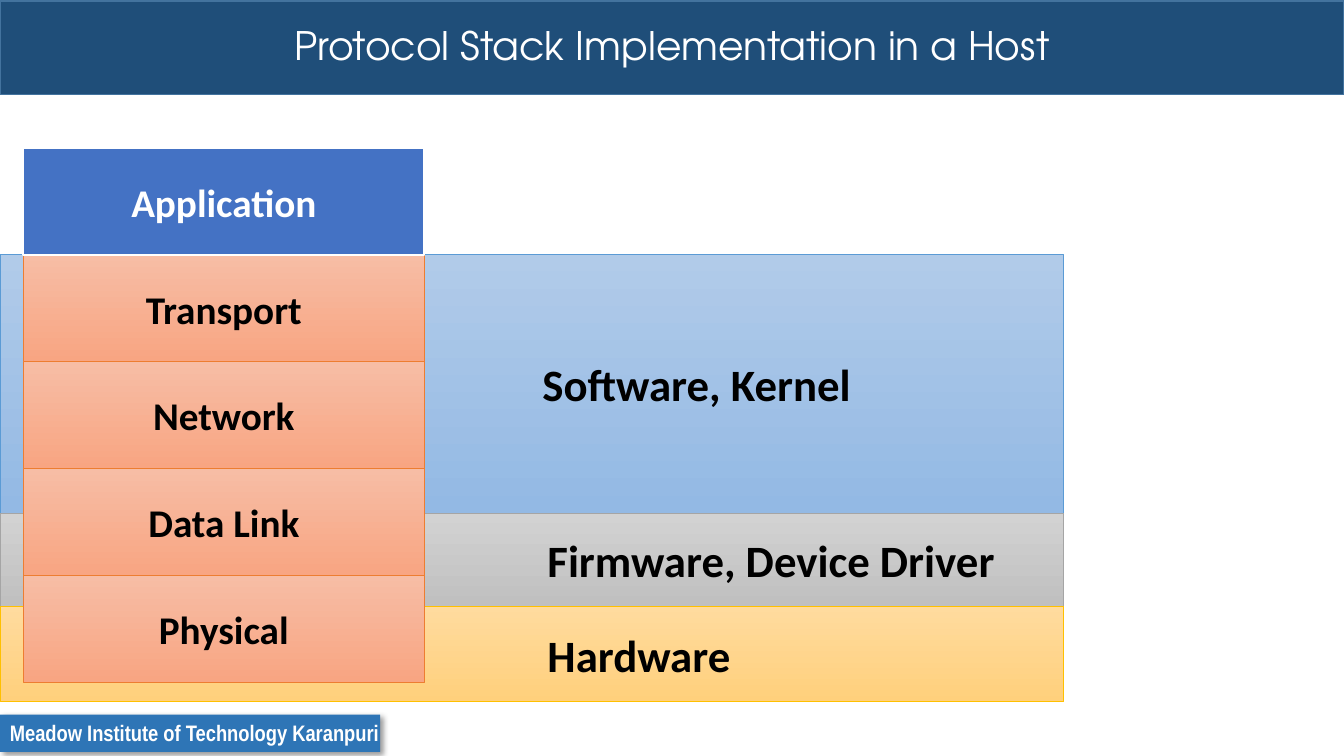
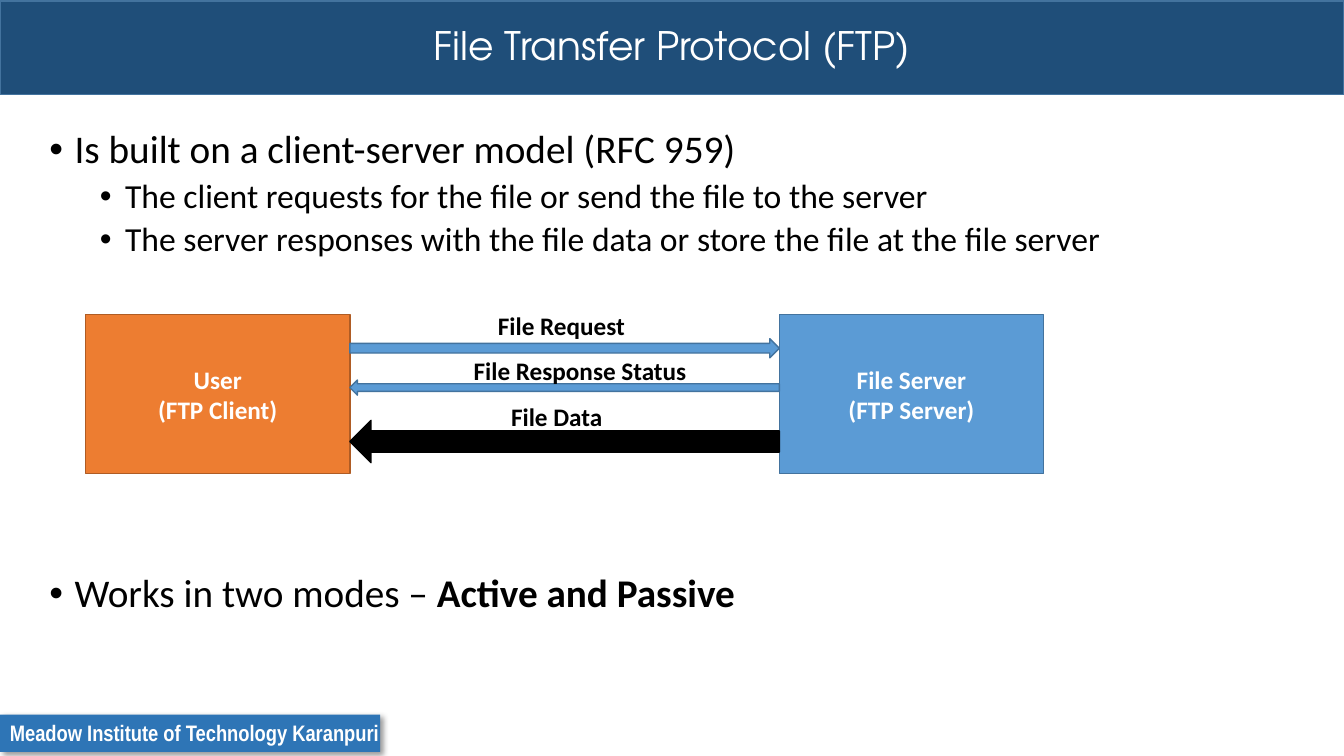
from lxml import etree
from pptx import Presentation
from pptx import util as u
from pptx.dml.color import RGBColor
from pptx.enum import shapes, text
from pptx.oxml.ns import qn

PX = 9144  # EMU in one px, 100 px to the inch
SLIDE_WIDTH, SLIDE_HEIGHT = 1333, 750
TITLE_BOX = (0, 1, SLIDE_WIDTH, 93)

WHITE = RGBColor(0xFF, 0xFF, 0xFF)
BLACK = RGBColor(0, 0, 0)
NAVY = RGBColor(0x1F, 0x4E, 0x79)
FOOTER_BLUE = RGBColor(0x2E, 0x75, 0xB6)
ROYAL = RGBColor(0x44, 0x72, 0xC4)
BLUE = RGBColor(0x5B, 0x9B, 0xD5)
BLUE_EDGE = RGBColor(0x43, 0x73, 0x9E)
ORANGE = RGBColor(0xED, 0x7D, 0x31)
ORANGE_EDGE = RGBColor(0xAF, 0x5C, 0x24)
GREY = RGBColor(0xA5, 0xA5, 0xA5)
GOLD = RGBColor(0xFF, 0xC0, 0x00)
BLUE_FADE = (RGBColor(0xB1, 0xCB, 0xE9), RGBColor(0x93, 0xB9, 0xE4))
GREY_FADE = (RGBColor(0xD2, 0xD2, 0xD2), RGBColor(0xC0, 0xC0, 0xC0))
GOLD_FADE = (RGBColor(0xFF, 0xDB, 0x9E), RGBColor(0xFF, 0xD0, 0x7C))
ORANGE_FADE = (RGBColor(0xF7, 0xBD, 0xA5), RGBColor(0xF8, 0xA5, 0x82))

BODY_FONT = "Calibri"
TITLE_FONT = "TeX Gyre Adventor"
FOOTER_FONT = "Arial Narrow"
FOOTER_TEXT = "Meadow Institute of Technology Karanpuri"

RECTANGLE = shapes.MSO_SHAPE.RECTANGLE
RIGHT_ARROW = shapes.MSO_SHAPE.RIGHT_ARROW
LEFT_ARROW = shapes.MSO_SHAPE.LEFT_ARROW
MIDDLE = text.MSO_ANCHOR.MIDDLE
CENTER = text.PP_ALIGN.CENTER
LEFT = text.PP_ALIGN.LEFT


def px(*lengths):
    return [u.Emu(length * PX) for length in lengths]


def write(paragraph, content, size=18, color=BLACK, bold=False, font=BODY_FONT,
          align=None):
    """Add one formatted run to a paragraph."""
    run = paragraph.add_run()
    run.text = content
    run.font.size = u.Pt(size)
    run.font.name = font
    run.font.bold = bold
    run.font.color.rgb = color
    if align is not None:
        paragraph.alignment = align


def write_lines(frame, lines, **text_format):
    for index, line in enumerate(lines):
        paragraph = frame.add_paragraph() if index else frame.paragraphs[0]
        write(paragraph, line, **text_format)


def add_block(parent, kind, box, fill, edge, weight=1.0):
    """Add a shape; a pair of fill colours gives a downward fade."""
    shape = parent.add_shape(kind, *px(*box))
    shape.shadow.inherit = False
    if isinstance(fill, RGBColor):
        shape.fill.solid()
        shape.fill.fore_color.rgb = fill
    else:
        shape.fill.gradient()
        shape.fill.gradient_angle = 270
        for stop, color in zip(shape.fill.gradient_stops, fill):
            stop.color.rgb = color
    if edge is None:
        shape.line.fill.background()
    else:
        shape.line.color.rgb = edge
        shape.line.width = u.Pt(weight)
    shape.text_frame.word_wrap = True
    shape.text_frame.vertical_anchor = MIDDLE
    return shape


def place(placeholder, box):
    placeholder.left, placeholder.top, placeholder.width, placeholder.height = px(*box)
    placeholder.text_frame.auto_size = text.MSO_AUTO_SIZE.NONE


def add_shadow(shape):
    effects = shape.element.spPr.find(qn("a:effectLst"))
    shadow = etree.SubElement(
        effects, qn("a:outerShdw"), blurRad=str(u.Pt(4)), dist=str(u.Pt(3)),
        dir="2700000", algn="tl", rotWithShape="0")
    color = etree.SubElement(shadow, qn("a:srgbClr"), val=str(BLACK))
    etree.SubElement(color, qn("a:alpha"), val="40000")


def furnish_master(presentation, slide):
    """Put the title band and the footer on the slide master."""
    band = add_block(slide.shapes, RECTANGLE, TITLE_BOX, NAVY, BLUE_EDGE)
    footer = add_block(slide.shapes, RECTANGLE, (0, 709, 377, 37), FOOTER_BLUE, None)
    add_shadow(footer)
    footer.text_frame.word_wrap = False
    footer.text_frame.vertical_anchor = text.MSO_ANCHOR.TOP
    write(footer.text_frame.paragraphs[0], FOOTER_TEXT, size=16, color=WHITE,
          bold=True, font=FOOTER_FONT, align=LEFT)
    tree = presentation.slide_master.shapes.element
    for offset, shape in enumerate((band, footer)):
        shape.element.nvSpPr.cNvPr.set("id", str(101 + offset))
        tree.insert(2 + offset, shape.element)


def set_title(slide, title):
    place(slide.shapes.title, TITLE_BOX)
    frame = slide.shapes.title.text_frame
    frame.vertical_anchor = MIDDLE
    paragraph = frame.paragraphs[0]
    paragraph.line_spacing = 0.9
    write(paragraph, title, size=28, color=WHITE, font=TITLE_FONT, align=CENTER)


def add_host_bands(slide, left, top, width):
    """Where each part of the stack is implemented."""
    bands = (
        ("Software, Kernel", 257, 538, BLUE_FADE, BLUE),
        ("Firmware, Device Driver", 93, 543, GREY_FADE, GREY),
        ("Hardware", 94, 543, GOLD_FADE, GOLD),
    )
    for label, height, inset, fade, edge in bands:
        band = add_block(slide.shapes, RECTANGLE, (left, top, width, height),
                         fade, edge, 0.5)
        band.text_frame.margin_left = u.Emu(inset * PX)
        write(band.text_frame.paragraphs[0], label, size=32, bold=True, align=LEFT)
        top += height


def add_layer_stack(slide, left, top, width, height):
    """Five protocol layers, the application layer on top and in front."""
    group = slide.shapes.add_group_shape()
    layers = ("Application", "Transport", "Network", "Data Link", "Physical")
    for index, name in reversed(list(enumerate(layers))):
        box = (left, top + index * height, width, height)
        if index:
            layer = add_block(group.shapes, RECTANGLE, box, ORANGE_FADE, ORANGE, 0.5)
        else:
            layer = add_block(group.shapes, RECTANGLE, box, ROYAL, WHITE, 1.5)
        write(layer.text_frame.paragraphs[0], name, size=28, bold=True,
              color=BLACK if index else WHITE, align=CENTER)


def fill_bullets(body, box):
    """Bulleted list, with room for the diagram before the last item."""
    place(body, box)
    items = (
        (0, 10, ["Is built on a client-server model (RFC 959)"]),
        (1, 5, ["The client requests for the file or send the file to the server"]),
        (1, 5, ["The server responses with the file data or store the file "
                "at the file server"]),
        (0, 225, ["Works in two modes – ", "Active and Passive"]),
    )
    frame = body.text_frame
    for index, (level, space, runs) in enumerate(items):
        paragraph = frame.add_paragraph() if index else frame.paragraphs[0]
        paragraph.level = level
        paragraph.line_spacing = 0.9
        paragraph.space_before = u.Pt(space)
        properties = paragraph._p.get_or_add_pPr()
        properties.set("marL", str((25 + 50 * level) * PX))
        properties.set("indent", str(-25 * PX))
        etree.SubElement(properties, qn("a:buFont"), typeface="Arial")
        etree.SubElement(properties, qn("a:buChar"), char="•")
        for position, content in enumerate(runs):
            write(paragraph, content, size=28 - 4 * level, bold=position > 0)


def add_file_exchange(slide, left, top):
    """Client and server boxes with three labelled arrows between them."""
    width, height, gap = 262, 158, 426
    ends = (
        (("File Server", "(FTP Server)"), left + width + gap, BLUE, BLUE_EDGE),
        (("User", "(FTP Client)"), left, ORANGE, ORANGE_EDGE),
    )
    for lines, x, fill, edge in ends:
        block = add_block(slide.shapes, RECTANGLE, (x, top, width, height), fill, edge)
        write_lines(block.text_frame, lines, color=WHITE, bold=True, align=CENTER)

    # Arrow: kind, offset, thickness, colours; label: text, box
    messages = (
        (RIGHT_ARROW, 24, 19, BLUE, BLUE_EDGE, "File Request", 399, 147),
        (LEFT_ARROW, 65, 15, BLUE, BLUE_EDGE, "File Response Status", 375, 233),
        (LEFT_ARROW, 105, 42, BLACK, BLACK, "File Data", 412, 112),
    )
    for kind, offset, thickness, fill, edge, *_ in messages:
        add_block(slide.shapes, kind, (left + width, top + offset, gap, thickness),
                  fill, edge)
    for index, (*_, label, x, label_width) in enumerate(messages):
        caption = slide.shapes.add_textbox(
            *px(left + x, top - 9 + 45 * index, label_width, 40))
        caption.text_frame.word_wrap = False
        write(caption.text_frame.paragraphs[0], label, bold=True)


def build_stack_slide(slide):
    set_title(slide, "Protocol Stack Implementation in a Host")
    add_host_bands(slide, 0, 252, 1055)
    add_layer_stack(slide, 23, 147, 398, 106)


def build_ftp_slide(slide):
    set_title(slide, "File Transfer Protocol (FTP)")
    fill_bullets(slide.placeholders[1], (39, 124, 1263, 585))
    add_file_exchange(slide, 85, 312)


def main():
    presentation = Presentation()
    presentation.slide_width, presentation.slide_height = px(SLIDE_WIDTH, SLIDE_HEIGHT)
    layouts = presentation.slide_layouts
    stack_slide = presentation.slides.add_slide(layouts.get_by_name("Title Only"))
    ftp_slide = presentation.slides.add_slide(layouts.get_by_name("Title and Content"))
    furnish_master(presentation, stack_slide)
    build_stack_slide(stack_slide)
    build_ftp_slide(ftp_slide)
    presentation.save("out.pptx")


if __name__ == "__main__":
    main()
